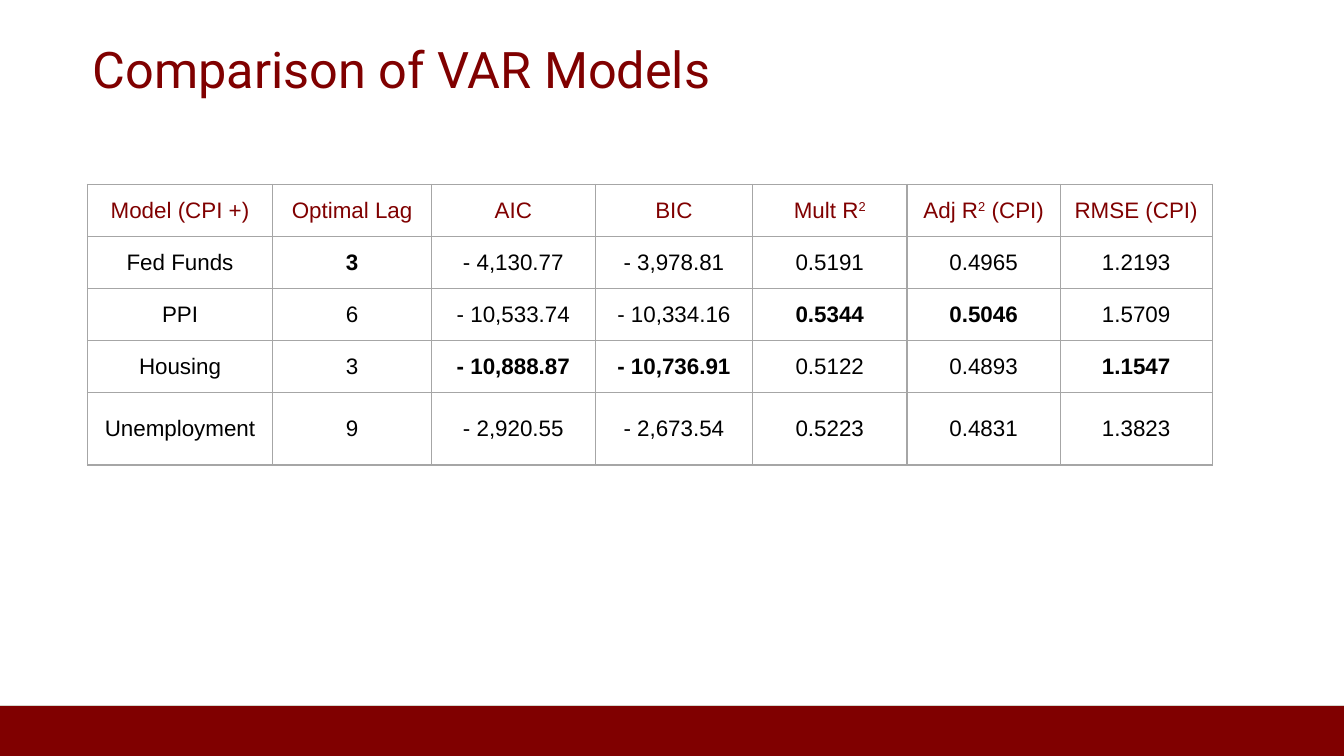
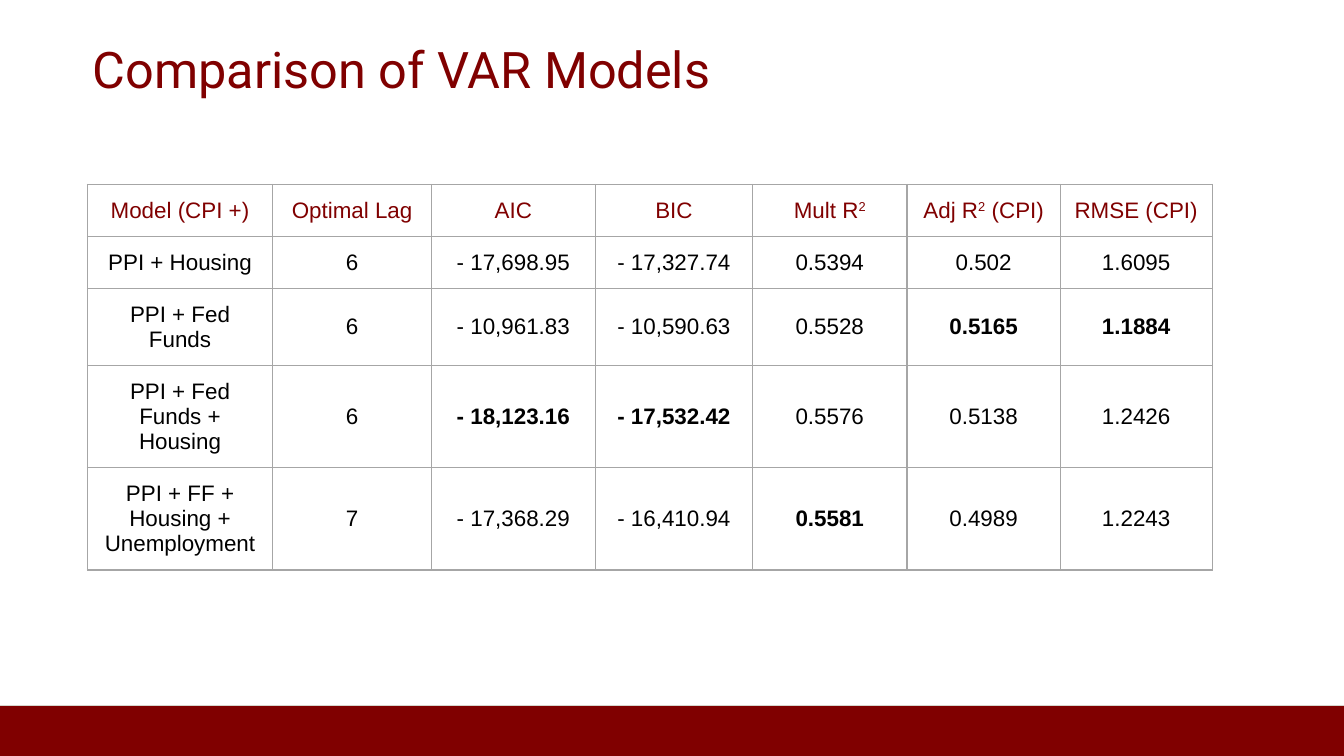
from dataclasses import dataclass

from lxml import etree
from pptx import Presentation
from pptx import util as u
from pptx.dml.color import RGBColor
from pptx.enum import shapes, text
from pptx.oxml import ns


@dataclass(frozen=True)
class Theme:
    maroon: RGBColor = RGBColor(0x80, 0x00, 0x00)
    black: RGBColor = RGBColor(0x00, 0x00, 0x00)
    rule: RGBColor = RGBColor(0xD6, 0xD6, 0xCE)
    grid: RGBColor = RGBColor(0xA6, 0xA6, 0xA6)
    title_font: str = "Roboto"
    body_font: str = "Arial"
    title_size: u.Pt = u.Pt(27)
    body_size: u.Pt = u.Pt(12)
    line_width: u.Pt = u.Pt(0.75)
    cell_margin: u.Inches = u.Inches(0.1)


THEME = Theme()
WIDTH = u.Inches(10)
HEIGHT = WIDTH * 9 // 16

# Table columns in inches; row heights are multiples of one text row
COLUMNS = [1.38, 1.18, 1.22, 1.17, 1.15, 1.14, 1.13]
ROW = u.Inches(0.36)
HEADER = ["Model (CPI +)", "Optimal Lag", "AIC", "BIC", "Mult R²", "Adj R² (CPI)", "RMSE (CPI)"]

# A leading * marks the best value of a column
SINGLE_MODELS = [
    ["Fed Funds", "*3", "- 4,130.77", "- 3,978.81", "0.5191", "0.4965", "1.2193"],
    ["PPI", "6", "- 10,533.74", "- 10,334.16", "*0.5344", "*0.5046", "1.5709"],
    ["Housing", "3", "*- 10,888.87", "*- 10,736.91", "0.5122", "0.4893", "*1.1547"],
    ["Unemployment", "9", "- 2,920.55", "- 2,673.54", "0.5223", "0.4831", "1.3823"],
]
COMBINED_MODELS = [
    ["PPI + Housing", "6", "- 17,698.95", "- 17,327.74", "0.5394", "0.502", "1.6095"],
    ["PPI + Fed Funds", "6", "- 10,961.83", "- 10,590.63", "0.5528", "*0.5165", "*1.1884"],
    ["PPI + Fed Funds + Housing", "6", "*- 18,123.16", "*- 17,532.42", "0.5576", "0.5138", "1.2426"],
    ["PPI + FF + Housing + Unemployment", "7", "- 17,368.29", "- 16,410.94", "*0.5581", "0.4989", "1.2243"],
]


def box(left, top, width, height):
    """Turn shares of the slide into lengths."""
    return int(left * WIDTH), int(top * HEIGHT), int(width * WIDTH), int(height * HEIGHT)


def style(p, font, size, color, bold=False):
    p.font.name, p.font.size, p.font.bold = font, size, bold
    p.font.color.rgb = color


def add_footer(s, area):
    """Maroon band with a thin rule along its top edge."""
    left, top, width, height = area
    band = s.shapes.add_shape(shapes.MSO_SHAPE.RECTANGLE, left, top, width, height)
    band.shadow.inherit = False
    band.fill.solid()
    band.fill.fore_color.rgb = THEME.maroon
    band.line.fill.background()

    rule = s.shapes.add_connector(shapes.MSO_CONNECTOR.STRAIGHT, left, top, left + width, top)
    rule.line.color.rgb = THEME.rule
    rule.line.width = THEME.line_width
    etree.SubElement(rule._element.spPr, ns.qn("a:effectLst"))


def set_title(s, area, words):
    sp = s.shapes.title
    sp.left, sp.top, sp.width, sp.height = area
    tf = sp.text_frame
    tf.text = words
    tf.word_wrap = True
    tf.auto_size = text.MSO_AUTO_SIZE.NONE
    tf.vertical_anchor = text.MSO_ANCHOR.MIDDLE
    tf.margin_left = tf.margin_right = 0
    tf.margin_top = tf.margin_bottom = u.Inches(0.04)
    p = tf.paragraphs[0]
    p.alignment = text.PP_ALIGN.LEFT
    p.line_spacing = 0.9
    style(p, THEME.title_font, THEME.title_size, THEME.maroon)


def add_borders(cell):
    tc_pr = cell._tc.get_or_add_tcPr()
    for side in ("lnL", "lnR", "lnT", "lnB"):
        ln = etree.SubElement(tc_pr, ns.qn(f"a:{side}"), w=str(int(THEME.line_width)))
        fill = etree.SubElement(ln, ns.qn("a:solidFill"))
        etree.SubElement(fill, ns.qn("a:srgbClr"), val=str(THEME.grid))


def fill_cell(cell, words, color):
    add_borders(cell)
    cell.fill.background()
    cell.vertical_anchor = text.MSO_ANCHOR.MIDDLE
    cell.margin_left = cell.margin_right = THEME.cell_margin
    cell.margin_top = cell.margin_bottom = THEME.cell_margin
    p = cell.text_frame.paragraphs[0]
    p.alignment = text.PP_ALIGN.CENTER
    style(p, THEME.body_font, THEME.body_size, color, words.startswith("*"))

    # A squared sign becomes a raised 2
    before, square, after = words.lstrip("*").partition("²")
    for part, raised in ((before, False), ("2" if square else "", True), (after, False)):
        if part:
            r = p.add_run()
            r.text = part
            if raised:
                r._r.get_or_add_rPr().set("baseline", "30000")


def add_model_table(s, left, top, models, row_units):
    rows = [HEADER, *models]
    table = s.shapes.add_table(len(rows), len(COLUMNS), left, top,
                               u.Inches(sum(COLUMNS)), int(ROW * sum(row_units))).table
    table.first_row = table.horz_banding = False
    for column, width in zip(table.columns, COLUMNS):
        column.width = u.Inches(width)
    for row, units, values in zip(table.rows, row_units, rows):
        row.height = int(ROW * units)
        color = THEME.maroon if values is HEADER else THEME.black
        for cell, words in zip(row.cells, values):
            fill_cell(cell, words, color)


def add_comparison_slide(prs, models, row_units):
    s = prs.slides.add_slide(prs.slide_layouts[5])
    add_footer(s, box(0, 0.933, 1, 0.067))
    set_title(s, box(0.069, 0, 0.862, 0.192), "Comparison of VAR Models")
    left, top, _, _ = box(0.065, 0.244, 0, 0)
    add_model_table(s, left, top, models, row_units)


def main():
    prs = Presentation()
    prs.slide_width, prs.slide_height = WIDTH, HEIGHT
    add_comparison_slide(prs, SINGLE_MODELS, [1, 1, 1, 1, 1.5])
    add_comparison_slide(prs, COMBINED_MODELS, [1, 1, 1, 1.5, 2])
    prs.save("out.pptx")


if __name__ == "__main__":
    main()
